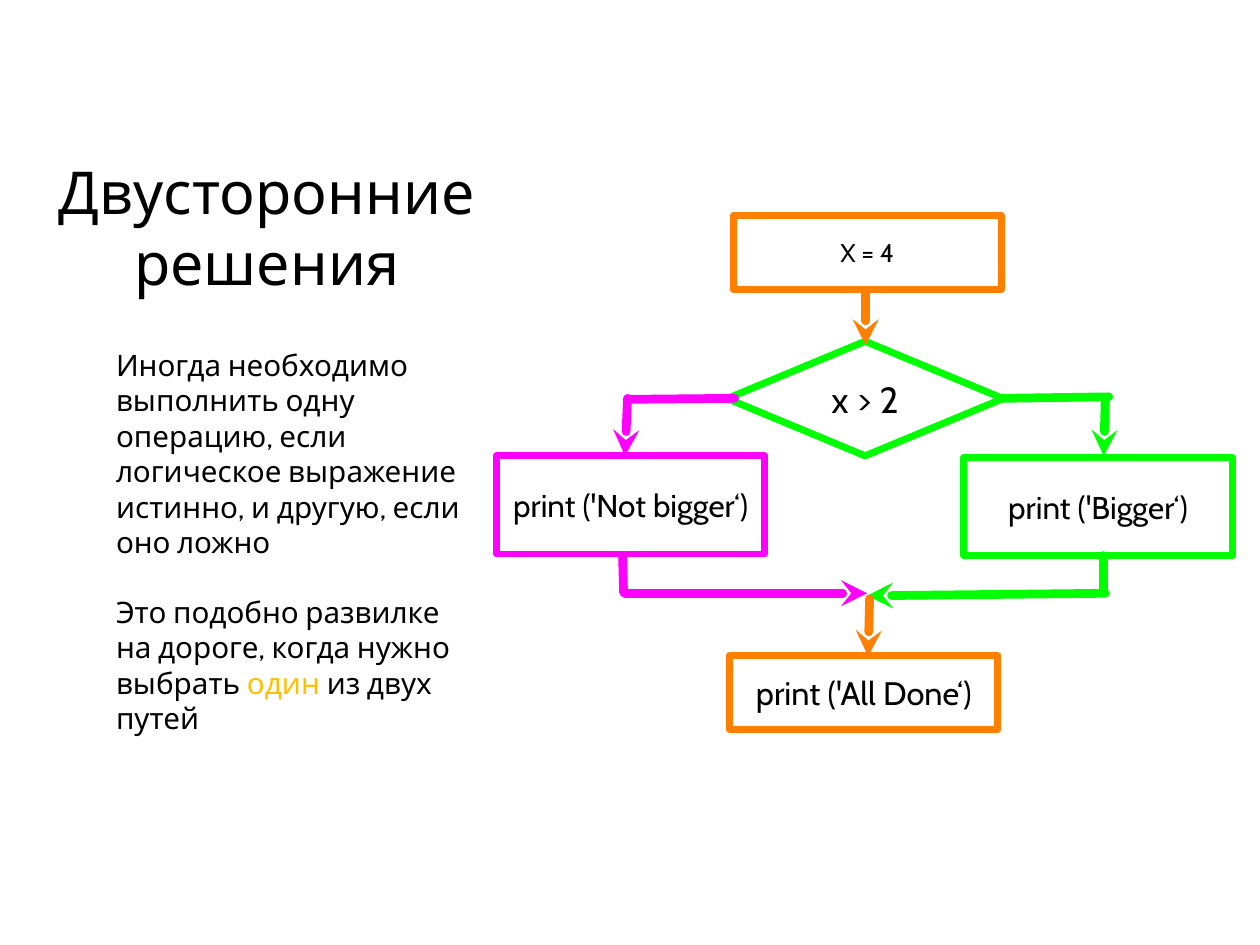
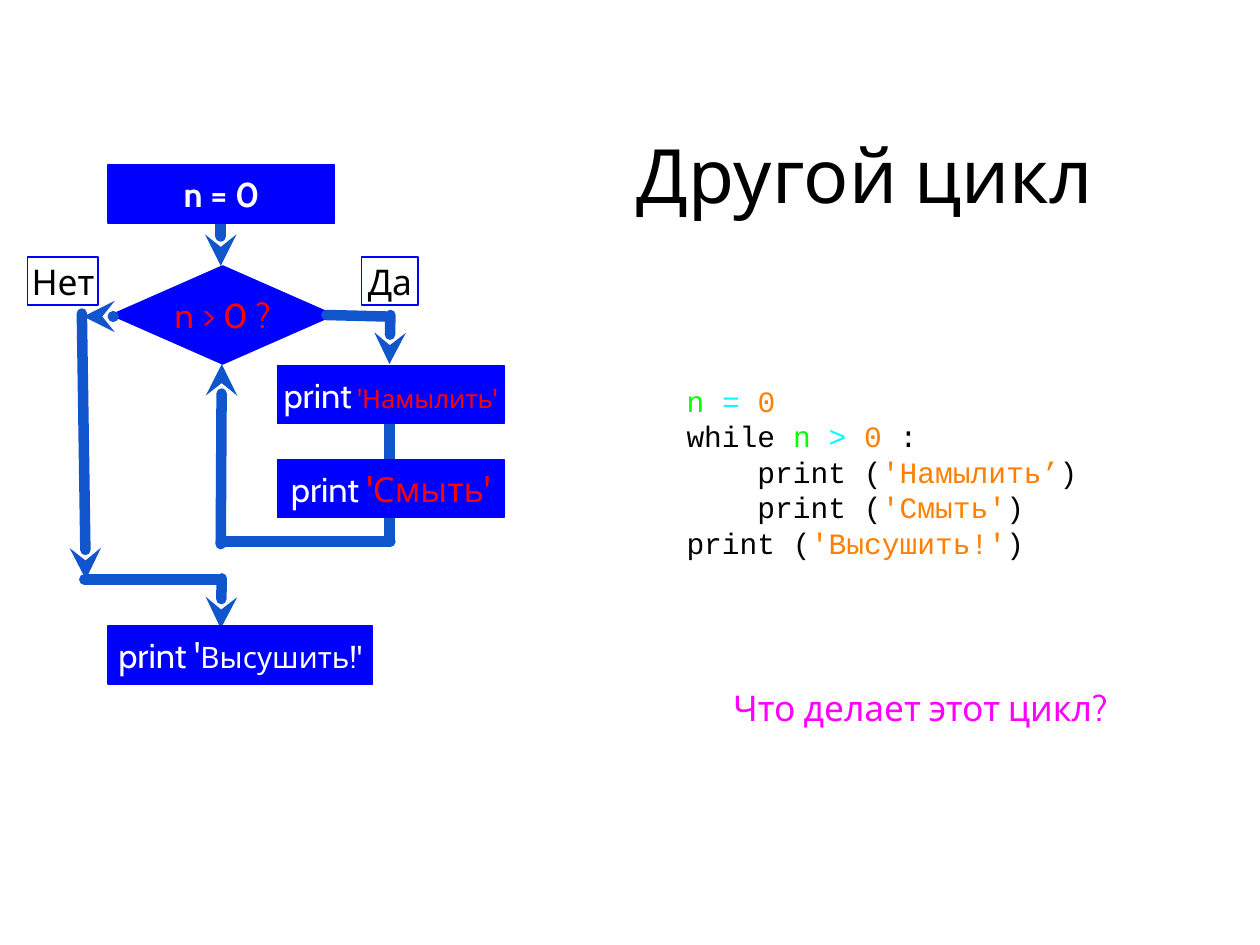
from lxml import etree
from pptx import Presentation
from pptx.dml.color import RGBColor
from pptx.enum.shapes import MSO_CONNECTOR, MSO_SHAPE
from pptx.enum.text import MSO_ANCHOR, PP_ALIGN
from pptx.oxml.ns import qn
from pptx.util import Cm, Pt

RECTANGLE = MSO_SHAPE.RECTANGLE
DIAMOND = MSO_SHAPE.DIAMOND
STRAIGHT = MSO_CONNECTOR.STRAIGHT
MIDDLE = MSO_ANCHOR.MIDDLE
CENTER = PP_ALIGN.CENTER
LEFT = PP_ALIGN.LEFT

BLACK = RGBColor(0x00, 0x00, 0x00)
WHITE = RGBColor(0xFF, 0xFF, 0xFF)
GREEN = RGBColor(0x00, 0xFF, 0x00)
ORANGE = RGBColor(0xFF, 0x7F, 0x00)
MAGENTA = RGBColor(0xFF, 0x00, 0xFF)
AMBER = RGBColor(0xFF, 0xC0, 0x00)
CYAN = RGBColor(0x00, 0xFF, 0xFF)
RED = RGBColor(0xFF, 0x00, 0x00)
BLUE = RGBColor(0x00, 0x00, 0xFF)
STEEL = RGBColor(0x11, 0x55, 0xCC)

TEXT_FONT = "Cabin"
CODE_FONT = "Courier New"


def add_text(slide, box, paragraphs, preset=None, line=None, width=0.75, fill=None,
             font=TEXT_FONT, align=CENTER, margin=0):
    lengths = [Cm(value) for value in box]
    if preset is None:
        shape = slide.shapes.add_textbox(*lengths)
    else:
        shape = slide.shapes.add_shape(preset, *lengths)
        shape.shadow.inherit = False
        shape.line.color.rgb = line
        shape.line.width = Pt(width)
        if fill is None:
            shape.fill.background()
        else:
            shape.fill.solid()
            shape.fill.fore_color.rgb = fill
    frame = shape.text_frame
    frame.word_wrap = True
    frame.vertical_anchor = MIDDLE
    frame.margin_left = frame.margin_right = Cm(margin)
    frame.margin_top = frame.margin_bottom = Cm(margin)
    for index, runs in enumerate(paragraphs):
        paragraph = frame.add_paragraph() if index else frame.paragraphs[0]
        paragraph.alignment = align
        for text, size, color in runs:
            run = paragraph.add_run()
            run.text = text
            run.font.size = Pt(size)
            run.font.name = font
            run.font.color.rgb = color
    return shape


def add_line(slide, start, end, color, width, arrow):
    connector = slide.shapes.add_connector(STRAIGHT, *[Cm(value) for value in start + end])
    connector.line.color.rgb = color
    connector.line.width = Pt(width)
    outline = connector.line._get_or_add_ln()
    outline.set("cap", "rnd")
    if arrow:
        etree.SubElement(outline, qn("a:tailEnd"), type="stealth")
    etree.SubElement(connector._element.spPr, qn("a:effectLst"))


presentation = Presentation()
presentation.slide_width = Cm(25.4)
presentation.slide_height = Cm(19.05)
blank = presentation.slide_layouts[6]
decision_slide = presentation.slides.add_slide(blank)
loop_slide = presentation.slides.add_slide(blank)

for slide, box, title, size in [
    (decision_slide, (0.25, 2.77, 10.26, 3.58), "Двусторонние решения", 33.8),
    (loop_slide, (12.29, 1.7, 10.29, 3.58), "Другой цикл", 42.8),
]:
    add_text(slide, box, [[(title, size, BLACK)]], margin=0.05)

explanation = add_text(decision_slide, (1.12, 6.45, 8.56, 8.92), [
    [("Иногда необходимо выполнить одну операцию, если логическое выражение "
      "истинно, и другую, если оно ложно", 16.9, BLACK)],
    [("Это подобно развилке на дороге, когда нужно выбрать ", 16.9, BLACK),
     ("один ", 16.9, AMBER),
     ("из двух путей", 16.9, BLACK)],
], align=LEFT, margin=0.05)
for paragraph in explanation.text_frame.paragraphs:
    paragraph._p.get_or_add_pPr().set("marL", str(Cm(1.17)))
explanation.text_frame.paragraphs[1].space_before = Pt(19.7)

add_text(decision_slide, (14.66, 6.88, 5.56, 2.31), [[("x > 2", 20.8, BLACK)]],
         DIAMOND, GREEN, 4)

for start, end, color, arrow in [
    ((20.17, 8.03), (22.35, 8), GREEN, False),
    ((22.28, 8.03), (22.25, 9.19), GREEN, True),
    ((22.28, 11.96), (17.48, 12.01), GREEN, True),
    ((22.25, 11.91), (22.25, 11.2), GREEN, False),
    ((17.45, 5.87), (17.45, 6.96), ORANGE, True),
    ((12.65, 8.05), (14.81, 8.03), MAGENTA, False),
    ((12.65, 8.03), (12.6, 9.19), MAGENTA, True),
    ((12.6, 11.96), (17.48, 11.96), MAGENTA, True),
    ((12.57, 11.94), (12.55, 11.2), MAGENTA, False),
    ((17.53, 12.07), (17.5, 13.23), ORANGE, True),
]:
    add_line(decision_slide, start, end, color, 5, arrow)

for left, top, height, text, size, color in [
    (14.78, 4.34, 1.5, "X = 4", 14.6, ORANGE),
    (10.01, 9.19, 1.98, "print ('Not bigger‘)", 18, MAGENTA),
    (19.43, 9.22, 1.98, "print ('Bigger‘)", 18, GREEN),
    (14.71, 13.21, 1.5, "print ('All Done‘)", 18.6, ORANGE),
]:
    add_text(decision_slide, (left, top, 5.41, height), [[(text, size, BLACK)]],
             RECTANGLE, color, 4)

code = [
    [("n ", GREEN), ("= ", CYAN), ("0", ORANGE)],
    [("while ", BLACK), ("n ", GREEN), ("> ", CYAN), ("0 ", ORANGE), (":", BLACK)],
    [("    print (", BLACK), ("'Намылить’", ORANGE), (")", BLACK)],
    [("    print (", BLACK), ("'Смыть'", ORANGE), (")", BLACK)],
    [("print (", BLACK), ("'Высушить!'", ORANGE), (")", BLACK)],
]
add_text(loop_slide, (13.84, 7.34, 9.47, 4.32),
         [[(text, 16.9, color) for text, color in runs] for runs in code],
         font=CODE_FONT, align=LEFT)

add_text(loop_slide, (2.24, 5.36, 4.5, 1.98), [[("n > 0 ?", 19.7, RED)]],
         DIAMOND, BLUE, fill=BLUE)

for start, end, arrow in [
    ((4.45, 4.47), (4.45, 5.36), True),
    ((4.45, 10.97), (4.47, 7.34), True),
    ((7.77, 6.38), (6.58, 6.35), False),
    ((7.87, 6.35), (7.85, 7.34), True),
    ((7.85, 7.65), (7.85, 10.9), False),
    ((4.45, 10.92), (7.87, 10.92), False),
    ((2.29, 6.38), (1.68, 6.38), True),
    ((4.47, 11.66), (4.45, 12.67), True),
    ((1.65, 6.32), (1.73, 11.68), True),
    ((1.7, 11.68), (4.45, 11.68), False),
]:
    add_line(loop_slide, start, end, STEEL, 6, arrow)

for left, width, text in [(0.56, 1.42, "Нет"), (7.29, 1.14, "Да")]:
    add_text(loop_slide, (left, 5.18, width, 0.97), [[(text, 20.2, BLACK)]], RECTANGLE, BLUE)

for left, top, width, runs in [
    (2.18, 12.62, 5.33, [("print '", 19.7, WHITE), ("Высушить!'", 16.9, WHITE)]),
    (5.59, 7.37, 4.57, [("print", 19.7, WHITE), (" 'Намылить'", 14.6, RED)]),
    (5.59, 9.27, 4.57, [("print ", 19.7, WHITE), ("'Смыть'", 19.7, RED)]),
    (2.18, 3.33, 4.57, [("n = 0", 19.7, WHITE)]),
]:
    step = add_text(loop_slide, (left, top, width, 1.17), [runs], RECTANGLE, BLUE, fill=BLUE)
step.text_frame.paragraphs[0].runs[0].font.bold = True

add_text(loop_slide, (14.07, 13.77, 8.97, 0.97), [[("Что делает этот цикл?", 20.2, MAGENTA)]])

presentation.save("out.pptx")
